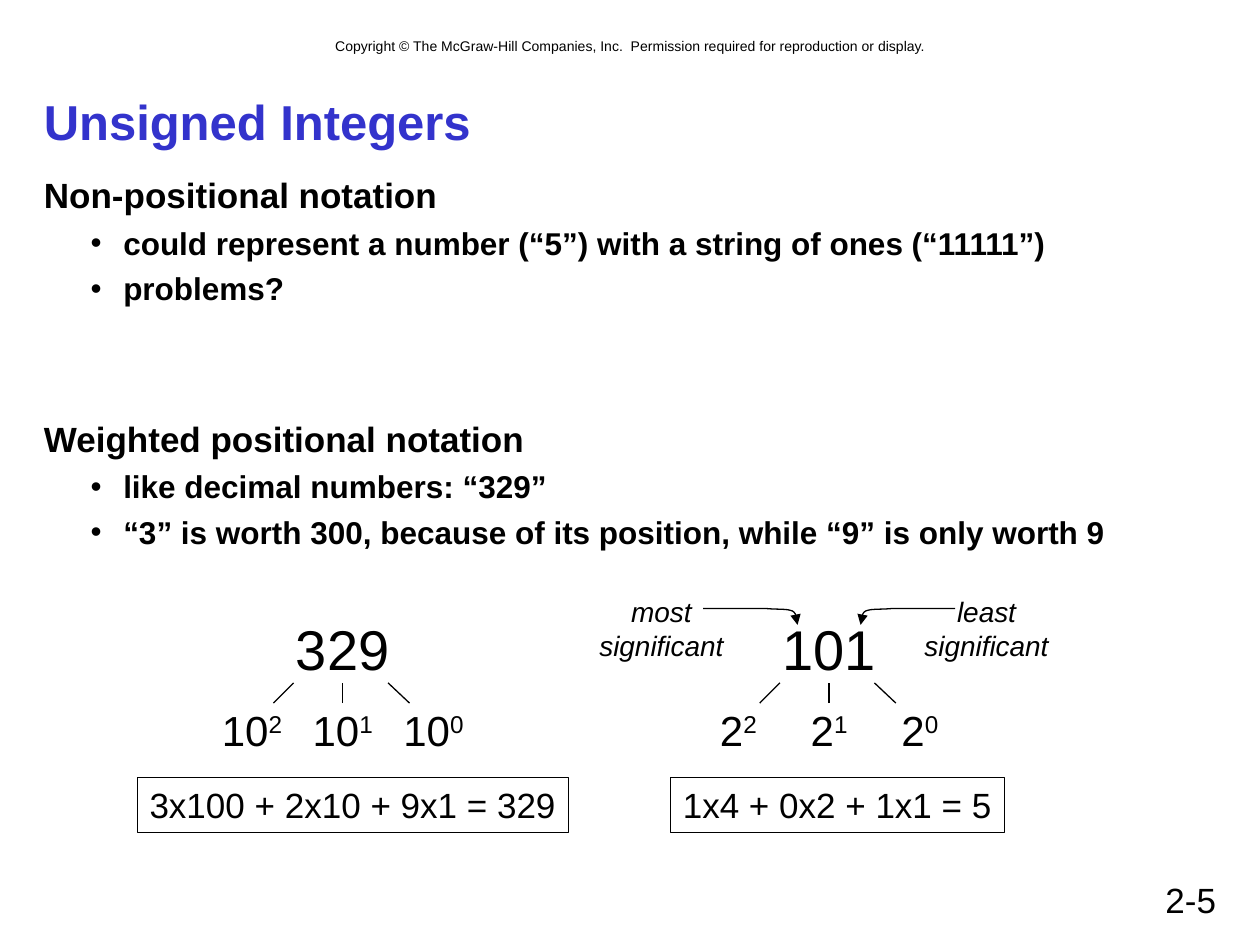
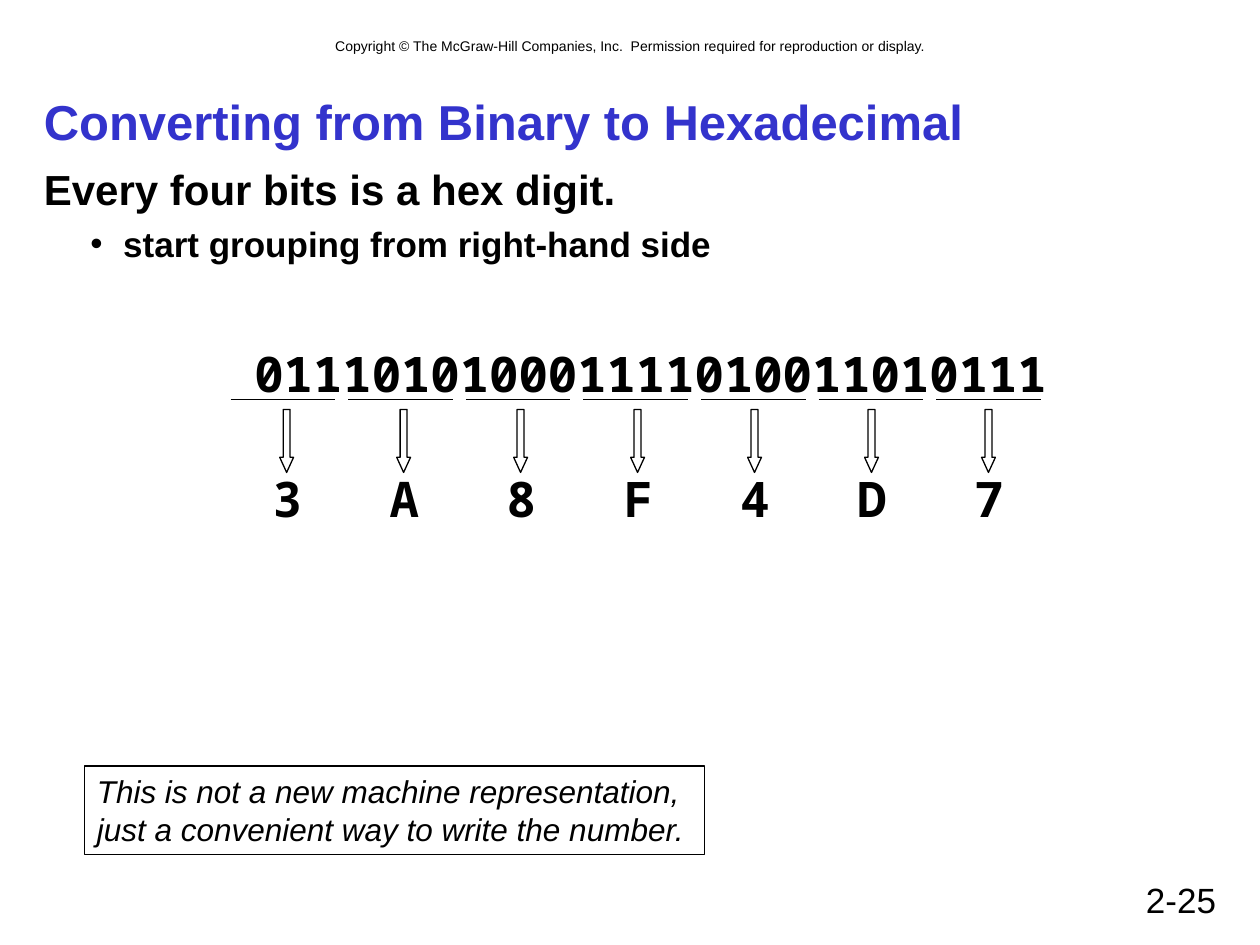
from lxml.etree import SubElement
from pptx import Presentation
from pptx.dml.color import RGBColor
from pptx.enum.shapes import MSO_CONNECTOR, MSO_SHAPE
from pptx.enum.text import MSO_ANCHOR, PP_ALIGN
from pptx.oxml.ns import qn
from pptx.util import Inches, Pt

BLACK = RGBColor(0x00, 0x00, 0x00)
WHITE = RGBColor(0xFF, 0xFF, 0xFF)
TITLE_BLUE = RGBColor(0x33, 0x33, 0xCC)
SANS = "Arial"
MONO = "Noto Sans Mono"
RULE = Pt(0.75)
COPYRIGHT = ("Copyright © The McGraw-Hill Companies, Inc.  "
             "Permission required for reproduction or display.")


def add_run(paragraph, text, size, font=SANS, color=BLACK, bold=False, italic=False):
    run = paragraph.add_run()
    run.text = text
    run.font.name = font
    run.font.size = Pt(size)
    run.font.color.rgb = color
    run.font.bold = bold
    run.font.italic = italic
    return run


def add_label(shapes, box, lines, size, align=PP_ALIGN.CENTER, wrap=True, **style):
    label = shapes.add_textbox(*map(Inches, box))
    write_lines(label.text_frame, lines, size, align, wrap, **style)
    return label


def write_lines(frame, lines, size, align, wrap, **style):
    frame.word_wrap = wrap
    for index, line in enumerate(lines):
        paragraph = frame.add_paragraph() if index else frame.paragraphs[0]
        paragraph.alignment = align
        add_run(paragraph, line, size, **style)


def outline(shape):
    shape.shadow.inherit = False
    shape.fill.background()
    shape.line.color.rgb = BLACK
    shape.line.width = RULE


def add_rule(shapes, x1, y1, x2, y2):
    rule = shapes.add_connector(MSO_CONNECTOR.STRAIGHT, *map(Inches, (x1, y1, x2, y2)))
    rule.line.color.rgb = BLACK
    rule.line.width = RULE
    SubElement(rule.element.spPr, qn("a:effectLst"))


def add_framed_box(shapes, box):
    frame = shapes.add_shape(MSO_SHAPE.RECTANGLE, *map(Inches, box))
    outline(frame)
    frame.text_frame.vertical_anchor = MSO_ANCHOR.TOP
    return frame


def add_bullet(paragraph):
    properties = paragraph._p.get_or_add_pPr()
    properties.set("lvl", "1")
    properties.set("marL", str(Inches(0.63)))
    properties.set("indent", str(-Inches(0.26)))
    color = SubElement(properties, qn("a:buClr"))
    SubElement(color, qn("a:srgbClr"), val=str(BLACK))
    SubElement(properties, qn("a:buFont"), typeface=SANS)
    SubElement(properties, qn("a:buChar"), char="•")


def add_outline_text(slide, box, sections, size, bullet_size, section_gap=0):
    body = slide.shapes.add_textbox(*map(Inches, box)).text_frame
    body.word_wrap = True
    for index, (heading, points) in enumerate(sections):
        paragraph = body.add_paragraph() if index else body.paragraphs[0]
        if index:
            paragraph.space_before = Pt(section_gap)
        add_run(paragraph, heading, size, bold=True)
        for point in points:
            paragraph = body.add_paragraph()
            add_bullet(paragraph)
            paragraph.space_before = Pt(bullet_size / 4)
            add_run(paragraph, point, bullet_size, bold=True)


def add_base_slide(deck, title, number):
    slide = deck.slides.add_slide(deck.slide_layouts[6])
    slide.background.fill.solid()
    slide.background.fill.fore_color.rgb = WHITE
    add_label(slide.shapes, (0.67, 0.25, 8.67, 0.24), [COPYRIGHT], 8)
    add_label(slide.shapes, (7.17, 6.92, 2.58, 0.42), [number], 20, PP_ALIGN.RIGHT)
    heading = add_label(slide.shapes, (0.25, 0.67, 9.5, 0.58), [title], 28,
                        PP_ALIGN.LEFT, color=TITLE_BLUE, bold=True)
    heading.text_frame.vertical_anchor = MSO_ANCHOR.MIDDLE
    return slide


def add_place_values(slide, center, top, digits, base, power_width):
    shapes = slide.shapes.add_group_shape().shapes
    add_label(shapes, (center - 0.47, top, 0.94, 0.64), [digits], 32, wrap=False)
    for column, exponent in enumerate("210"):
        left = center + (column - 1) * 0.72 - power_width / 2
        power = add_label(shapes, (left, top + 0.71, power_width, 0.5), [base], 24, wrap=False)
        raised = add_run(power.text_frame.paragraphs[0], exponent, 24)
        raised.font._element.set("baseline", "30000")
    for low, high in ((0, 0), (-0.55, -0.39), (0.53, 0.36)):
        add_rule(shapes, center + low, top + 0.75, center + high, top + 0.59)


def add_sum(slide, box, text):
    equation = add_framed_box(slide.shapes, box)
    write_lines(equation.text_frame, [text], 20, PP_ALIGN.CENTER, False)


def bezier(start, first, second, end, steps=8):
    for step in range(1, steps + 1):
        t = step / steps
        weights = ((1 - t) ** 3, 3 * t * (1 - t) ** 2, 3 * t * t * (1 - t), t ** 3)
        yield tuple(sum(w * point[axis] for w, point in zip(weights, (start, first, second, end)))
                    for axis in (0, 1))


def add_curved_arrow(slide, left, top, direction):
    bend = [(0, 0), (0.09, 0), (0.38, 0), (0.5, 0), (0.61, 0.01), (0.66, 0),
            (0.71, 0.02), (0.75, 0.04), (0.74, 0.11), (0.75, 0.13)]
    points = [point for first in (0, 3, 6) for point in bezier(*bend[first:first + 4])]
    builder = slide.shapes.build_freeform(Inches(left), Inches(top))
    builder.add_line_segments([(Inches(left + direction * x), Inches(top + y)) for x, y in points],
                              close=False)
    arrow = builder.convert_to_shape()
    outline(arrow)
    SubElement(arrow.line._get_or_add_ln(), qn("a:tailEnd"), type="triangle")


def add_significance(slide, center, top):
    for side, rank in ((-1, "most"), (1, "least")):
        add_label(slide.shapes, (center + side * 1.29 - 0.74, top, 1.4, 0.64),
                  [rank, "significant"], 16, wrap=False, italic=True)
        add_curved_arrow(slide, center + side * 1.0, top + 0.16, -side)


def add_hex_grouping(slide, left, top, bits, hex_digits):
    add_label(slide.shapes, (left, top, 6.83, 0.57), [bits], 28, font=MONO, bold=True)
    last = len(hex_digits) - 1
    for index, digit in enumerate(hex_digits):
        underline = left + 0.08 + index * 5.6 / last
        add_rule(slide.shapes, underline, top + 0.49, underline + 0.83, top + 0.49)
        center = left + 0.53 + index * 5.57 / last
        add_label(slide.shapes, (center - 0.54, top + 0.99, 1.08, 0.57), [digit], 28,
                  font=MONO, bold=True)
        arrow = slide.shapes.add_shape(MSO_SHAPE.DOWN_ARROW, Inches(center - 0.06),
                                       Inches(top + 0.57), Inches(0.11), Inches(0.5))
        arrow.adjustments[0] = 0.5
        arrow.adjustments[1] = 1.09
        outline(arrow)


def add_note(slide, box, first_line, second_line):
    frame = add_framed_box(slide.shapes, box).text_frame
    write_lines(frame, [first_line], 18, PP_ALIGN.LEFT, True, italic=True)
    frame.paragraphs[0].add_line_break()
    add_run(frame.paragraphs[0], second_line, 18, italic=True)


def build_unsigned_integers(deck):
    slide = add_base_slide(deck, "Unsigned Integers", "2-5")
    add_outline_text(slide, (0.25, 1.33, 8.92, 3.75), [
        ("Non-positional notation", [
            "could represent a number (“5”) with a string of ones (“11111”)",
            "problems?"]),
        ("Weighted positional notation", [
            "like decimal numbers: “329”",
            "“3” is worth 300, because of its position, while “9” is only worth 9"]),
    ], 20, 18, section_gap=63)
    add_place_values(slide, 2.72, 4.83, "329", "10", 0.68)
    add_place_values(slide, 6.58, 4.83, "101", "2", 0.49)
    add_sum(slide, (1.09, 6.17, 3.42, 0.44), "3x100 + 2x10 + 9x1 = 329")
    add_sum(slide, (5.32, 6.17, 2.65, 0.44), "1x4 + 0x2 + 1x1 = 5")
    add_significance(slide, 6.58, 4.67)


def build_binary_to_hex(deck):
    slide = add_base_slide(deck, "Converting from Binary to Hexadecimal", "2-25")
    add_outline_text(slide, (0.25, 1.25, 9.5, 1.13), [
        ("Every four bits is a hex digit.", ["start grouping from right-hand side"]),
    ], 24, 20)
    add_hex_grouping(slide, 1.75, 2.68, "011101010001111010011010111", "3A8F4D7")
    add_note(slide, (0.67, 6.08, 4.92, 0.7), "This is not a new machine representation,",
             "just a convenient way to write the number.")


def main():
    deck = Presentation()
    deck.slide_width = Inches(10)
    deck.slide_height = Inches(7.5)
    build_unsigned_integers(deck)
    build_binary_to_hex(deck)
    deck.save("out.pptx")


if __name__ == "__main__":
    main()
